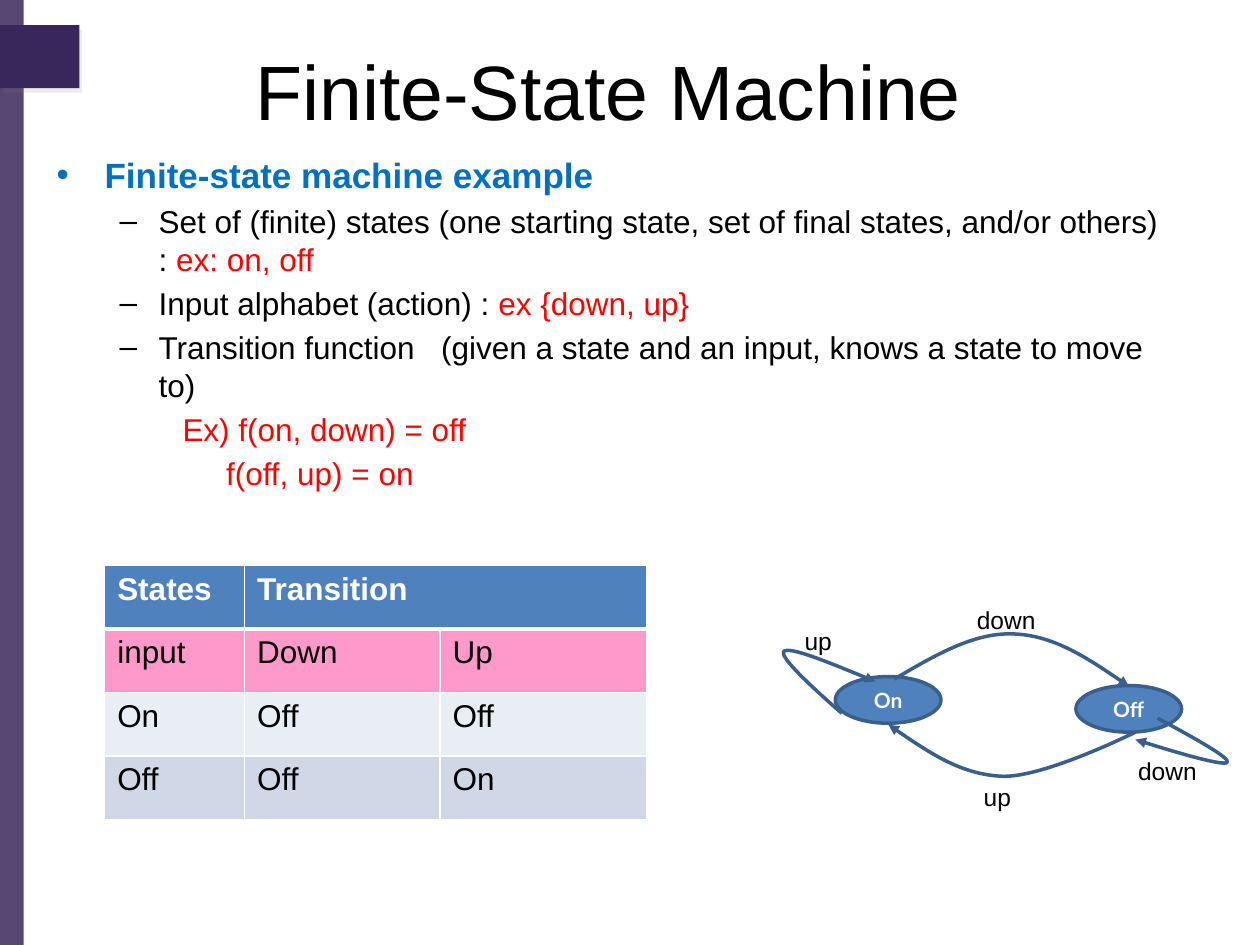
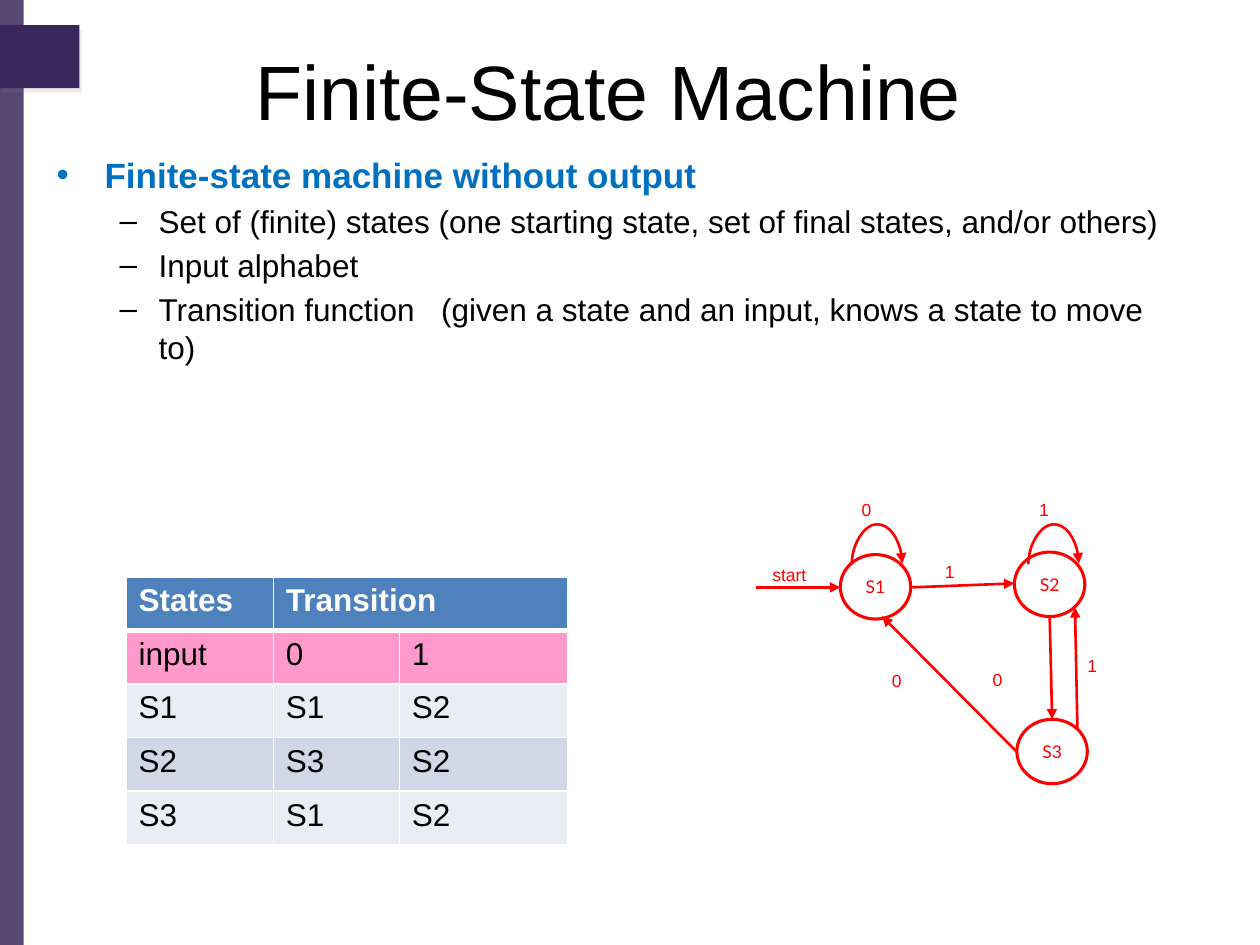
from dataclasses import dataclass

import lxml.etree
import pptx
import pptx.dml.color
import pptx.enum.shapes
import pptx.enum.text
import pptx.oxml.ns
import pptx.util

Cm, Pt, qn = pptx.util.Cm, pptx.util.Pt, pptx.oxml.ns.qn
SHAPES = pptx.enum.shapes.MSO_SHAPE
CONNECTORS = pptx.enum.shapes.MSO_CONNECTOR
ALIGN = pptx.enum.text.PP_ALIGN
ANCHOR = pptx.enum.text.MSO_ANCHOR

# Shared colours and fonts
PURPLE, BLUE, RED, BLACK, WHITE = "39275B", "0070C0", "FF0000", "000000", "FFFFFF"
STATE_FILL, STATE_LINE = "4F81BD", "3A5F8C"
HEADER_FILL, INPUT_FILL, ROW_FILLS = "4F81BD", "FF99CC", ("E9EDF4", "D0D8E8")
BODY_FONT, STATE_FONT = "Arial", "Lato"

Point = tuple[float, float]


# Descriptions of repeated elements; all lengths in centimetres
@dataclass
class Span:
    text: str
    color: str = BLACK
    tracking: int = 0


@dataclass
class Level:
    left: float
    indent: float
    bullet: str = ""
    size: int = 18
    bold: bool = False


@dataclass
class Item:
    level: Level
    spans: list[Span]


@dataclass
class Look:
    line: str
    line_width: float
    arrow_width: float
    state_size: int
    label_size: int
    label_color: str
    label_height: float
    label_align: ALIGN
    fill: str = ""
    state_color: str = WHITE
    bold: bool = False


@dataclass
class State:
    name: str
    left: float
    top: float
    width: float
    height: float


@dataclass
class Label:
    text: str
    left: float
    top: float
    width: float


@dataclass
class Grid:
    left: float
    top: float
    columns: list[float]
    row_height: float
    rows: list[list[str]]


HEADING = Level(0.97, -0.97, "•", 20, True)
DASH = Level(2.06, -0.79, "–")
EXAMPLE = Level(2.54, 0)
EXAMPLE_NEXT = Level(3.42, 0)

SWITCH_LOOK = Look(STATE_LINE, 2, 2, 12, 14, BLACK, 0.86, ALIGN.CENTER, STATE_FILL, WHITE, True)
RED_LOOK = Look(RED, 1.75, 1.5, 10, 10, RED, 0.69, ALIGN.LEFT, "", RED)


# Formatting helpers
def rgb(color: str) -> pptx.dml.color.RGBColor:
    return pptx.dml.color.RGBColor.from_string(color)


def apply(target, **values) -> None:
    for name, value in values.items():
        setattr(target, name, value)


def paint(shape, fill: str = "", line: str = "", width: float = 0) -> None:
    for part, color in ((shape.fill, fill), (shape.line.fill, line)):
        if color:
            part.solid()
            part.fore_color.rgb = rgb(color)
        else:
            part.background()
    if line:
        shape.line.width = Pt(width)
    shape.shadow.inherit = False


def add_xml(parent, tag: str, **attributes):
    return lxml.etree.SubElement(parent, qn(tag), attributes)


def write(para, text: str, size: float, color: str, font: str = BODY_FONT, bold: bool = False):
    span = para.add_run()
    span.text = text
    apply(span.font, size=Pt(size), name=font, bold=bold)
    span.font.color.rgb = rgb(color)
    return span


def add_arrowhead(shape) -> None:
    add_xml(shape.element.find(".//" + qn("a:ln")), "a:tailEnd", type="triangle")


# Parts every page has
def add_page(deck, title: str):
    page = deck.slides.add_slide(deck.slide_layouts[5])
    band = page.shapes.add_shape(SHAPES.RECTANGLE, 0, 0, Cm(0.48), deck.slide_height)
    paint(band, PURPLE)
    add_xml(band.element.find(".//" + qn("a:srgbClr")), "a:alpha", val="85000")
    tab = page.shapes.add_shape(SHAPES.RECTANGLE, 0, Cm(0.51), Cm(1.6), Cm(1.27))
    paint(tab, PURPLE)
    effects = tab.element.find(".//" + qn("a:effectLst"))
    shadow = add_xml(effects, "a:outerShdw", dist=str(Pt(3)), dir="3600000", rotWithShape="0")
    add_xml(add_xml(shadow, "a:srgbClr", val="808080"), "a:alpha", val="15000")

    box = page.shapes.title
    apply(box, left=Cm(0.84), top=Cm(0.64), width=Cm(22.86), height=Cm(2.34))
    box.text_frame.vertical_anchor = ANCHOR.MIDDLE
    para = box.text_frame.paragraphs[0]
    para.alignment = ALIGN.CENTER
    write(para, title, 44, BLACK)
    return page


def add_body(page, items: list[Item]) -> None:
    frame = page.shapes.add_textbox(Cm(0.89), Cm(2.97), Cm(22.86), Cm(15.67)).text_frame
    frame.word_wrap = True
    for index, item in enumerate(items):
        level = item.level
        para = frame.add_paragraph() if index else frame.paragraphs[0]
        settings = para._p.get_or_add_pPr()
        settings.set("marL", str(Cm(level.left)))
        settings.set("indent", str(Cm(level.indent)))
        add_xml(add_xml(settings, "a:spcBef"), "a:spcPct", val="20000")
        if level.bullet:
            add_xml(settings, "a:buFont", typeface=BODY_FONT)
            add_xml(settings, "a:buChar", char=level.bullet)
        for part in item.spans:
            span = write(para, part.text, level.size, part.color, bold=level.bold)
            if part.tracking:
                span._r.get_or_add_rPr().set("spc", str(part.tracking * 100))


def add_grid(page, grid: Grid) -> None:
    table = page.shapes.add_table(
        len(grid.rows), len(grid.columns), Cm(grid.left), Cm(grid.top),
        Cm(sum(grid.columns)), Cm(grid.row_height * len(grid.rows))).table
    for column, width in zip(table.columns, grid.columns):
        column.width = Cm(width)
    fills = [HEADER_FILL, INPUT_FILL] + [ROW_FILLS[i % 2] for i in range(len(grid.rows) - 2)]
    for r, (texts, fill) in enumerate(zip(grid.rows, fills)):
        table.rows[r].height = Cm(grid.row_height)
        for c, text in enumerate(texts):
            cell = table.cell(r, c)
            if text:
                write(cell.text_frame.paragraphs[0], text, 18, BLACK if r else WHITE, bold=r == 0)
            settings = cell._tc.get_or_add_tcPr()
            for side in ("lnL", "lnR", "lnT", "lnB"):
                thick = (r, side) in ((0, "lnB"), (1, "lnT"))
                border = add_xml(settings, "a:" + side, w=str(Pt(3 if thick else 1)))
                add_xml(add_xml(border, "a:solidFill"), "a:srgbClr", val=WHITE)
            cell.fill.solid()
            cell.fill.fore_color.rgb = rgb(fill)
    table.cell(0, 1).merge(table.cell(0, 2))


# Diagram parts
def add_state(page, state: State, look: Look) -> None:
    shape = page.shapes.add_shape(SHAPES.OVAL, Cm(state.left), Cm(state.top),
                                  Cm(state.width), Cm(state.height))
    paint(shape, look.fill, look.line, look.line_width)
    frame = shape.text_frame
    apply(frame, margin_left=0, margin_right=0, margin_top=0, margin_bottom=0,
          word_wrap=True, vertical_anchor=ANCHOR.MIDDLE)
    frame.paragraphs[0].alignment = ALIGN.CENTER
    write(frame.paragraphs[0], state.name, look.state_size, look.state_color, STATE_FONT, look.bold)


def add_label(page, label: Label, look: Look) -> None:
    box = page.shapes.add_textbox(Cm(label.left), Cm(label.top),
                                  Cm(label.width), Cm(look.label_height))
    apply(box.text_frame, word_wrap=True,
          auto_size=pptx.enum.text.MSO_AUTO_SIZE.SHAPE_TO_FIT_TEXT)
    para = box.text_frame.paragraphs[0]
    para.alignment = look.label_align
    write(para, label.text, look.label_size, look.label_color)


def add_curve(page, points: list[Point], look: Look) -> None:
    """Draw cubic curves: a start, then two controls and an end for each piece."""
    start, *rest = [(Cm(x), Cm(y)) for x, y in points]
    builder = page.shapes.build_freeform(*start)
    builder.add_line_segments(rest, close=False)
    shape = builder.convert_to_shape()
    paint(shape, "", look.line, look.arrow_width)
    outline = shape.element.find(".//" + qn("a:path"))
    steps = outline.findall(qn("a:lnTo"))
    for first in range(0, len(steps), 3):
        curve = add_xml(outline, "a:cubicBezTo")
        for step in steps[first:first + 3]:
            curve.append(step[0])
            outline.remove(step)
    add_arrowhead(shape)


def add_arrow(page, start: Point, end: Point, look: Look, kind=CONNECTORS.STRAIGHT):
    ends = [Cm(value) for value in (*start, *end)]
    arrow = page.shapes.add_connector(kind, *ends)
    arrow.line.color.rgb = rgb(look.line)
    arrow.line.width = Pt(look.arrow_width)
    add_arrowhead(arrow)
    add_xml(arrow.element.spPr, "a:effectLst")
    return arrow


def add_loop(page, left: float, base: float, look: Look) -> None:
    """Arch over a state: a curved connector turned by a quarter."""
    span, rise, drop = 1.02, 0.81, 0.02
    middle = left + span / 2
    arrow = add_arrow(page, (middle + drop / 2, base + span / 2),
                      (middle - drop / 2, base - span / 2), look, CONNECTORS.CURVE)
    arrow.element.spPr.find(qn("a:xfrm")).set("rot", "5400000")
    geometry = arrow.element.spPr.find(qn("a:prstGeom"))
    guides = geometry.find(qn("a:avLst"))
    if guides is None:
        guides = add_xml(geometry, "a:avLst")
    add_xml(guides, "a:gd", name="adj1", fmla=f"val {round(rise / drop * 100000)}")


# Content
TITLE = "Finite-State Machine"
STATES_TEXT = "Set of (finite) states (one starting state, set of final states, and/or others)"
TRANSITION = Item(DASH, [Span("Transition function"), Span(" ", tracking=10),
                         Span("(given a state and an input, knows a state to move to)")])

SWITCH_ITEMS = [
    Item(HEADING, [Span("Finite-state machine example", BLUE)]),
    Item(DASH, [Span(STATES_TEXT + " : "), Span("ex: on, off", RED)]),
    Item(DASH, [Span("Input alphabet (action) : "), Span("ex {down, up}", RED)]),
    TRANSITION,
    Item(EXAMPLE, [Span("Ex) f(on, down) = off", RED)]),
    Item(EXAMPLE_NEXT, [Span("f(off, up) = on", RED)]),
]
SWITCH_GRID = Grid(2.11, 11.4, [2.82, 3.94, 4.17], 1.28, [
    ["States", "Transition", ""], ["input", "Down", "Up"],
    ["On", "Off", "Off"], ["Off", "Off", "On"]])
SWITCH_STATES = [State("On", 16.84, 13.64, 2.13, 0.94), State("Off", 21.69, 13.82, 2.13, 0.94)]
SWITCH_LABELS = [Label("down", 18.29, 12.07, 3.99), Label("up", 18.11, 15.65, 3.99),
                 Label("up", 14.5, 12.5, 3.99), Label("down", 21.54, 15.11, 3.99)]
SWITCH_CURVES = [
    [(18.03, 13.69), (18.85, 13.21), (19.63, 12.75), (20.42, 12.78),
     (21.21, 12.8), (22, 13.31), (22.76, 13.84)],
    [(22.89, 14.76), (22.89, 14.76), (21.06, 15.67), (20.22, 15.65),
     (19.38, 15.62), (18.64, 15.11), (17.91, 14.61)],
    [(23.34, 14.48), (24.08, 14.88), (24.82, 15.29), (24.74, 15.37),
     (24.66, 15.44), (23.77, 15.19), (22.89, 14.91)],
    [(16.97, 14.38), (16.33, 13.82), (15.7, 13.23), (15.8, 13.13),
     (15.93, 13.03), (16.79, 13.39), (17.65, 13.74)],
]

PLAIN_ITEMS = [Item(HEADING, [Span("Finite-state machine without output", BLUE)]),
               Item(DASH, [Span(STATES_TEXT)]), Item(DASH, [Span("Input alphabet")]), TRANSITION]
PLAIN_GRID = Grid(2.54, 11.63, [2.97, 2.54, 3.39], 1.08, [
    ["States", "Transition", ""], ["input", "0", "1"],
    ["S1", "S1", "S2"], ["S2", "S3", "S2"], ["S3", "S1", "S2"]])
PLAIN_STATES = [State("S1", 16.94, 11.18, 1.42, 1.3), State("S2", 20.45, 11.13, 1.42, 1.3),
                State("S3", 20.5, 14.5, 1.42, 1.3)]
PLAIN_LABELS = [Label("1", 18.8, 11.18, 1.24), Label("0", 17.73, 13.39, 1.4),
                Label("start", 15.32, 11.25, 1.32), Label("0", 17.12, 9.93, 1.45),
                Label("1", 21.67, 13.08, 0.99), Label("0", 19.76, 13.36, 1.4),
                Label("1", 20.7, 9.93, 1.45)]
PLAIN_ARROWS = [((18.39, 11.84), (20.45, 11.76)), ((21.16, 12.42), (21.21, 14.5)),
                ((15.24, 11.84), (16.94, 11.84)), ((21.72, 14.71), (21.67, 12.24)),
                ((20.5, 15.16), (17.78, 12.42))]


def add_machine_page(deck, items, grid, states, labels, look):
    page = add_page(deck, TITLE)
    add_body(page, items)
    add_grid(page, grid)
    for state in states:
        add_state(page, state, look)
    for label in labels:
        add_label(page, label, look)
    return page


def main() -> None:
    deck = pptx.Presentation()
    apply(deck, slide_width=Cm(25.4), slide_height=Cm(19.05))

    page = add_machine_page(deck, SWITCH_ITEMS, SWITCH_GRID, SWITCH_STATES, SWITCH_LABELS, SWITCH_LOOK)
    for points in SWITCH_CURVES:
        add_curve(page, points, SWITCH_LOOK)

    page = add_machine_page(deck, PLAIN_ITEMS, PLAIN_GRID, PLAIN_STATES, PLAIN_LABELS, RED_LOOK)
    for start, end in PLAIN_ARROWS:
        add_arrow(page, start, end, RED_LOOK)
    for left in (17.17, 20.73):
        add_loop(page, left, 11.37, RED_LOOK)

    deck.save("out.pptx")


if __name__ == "__main__":
    main()
